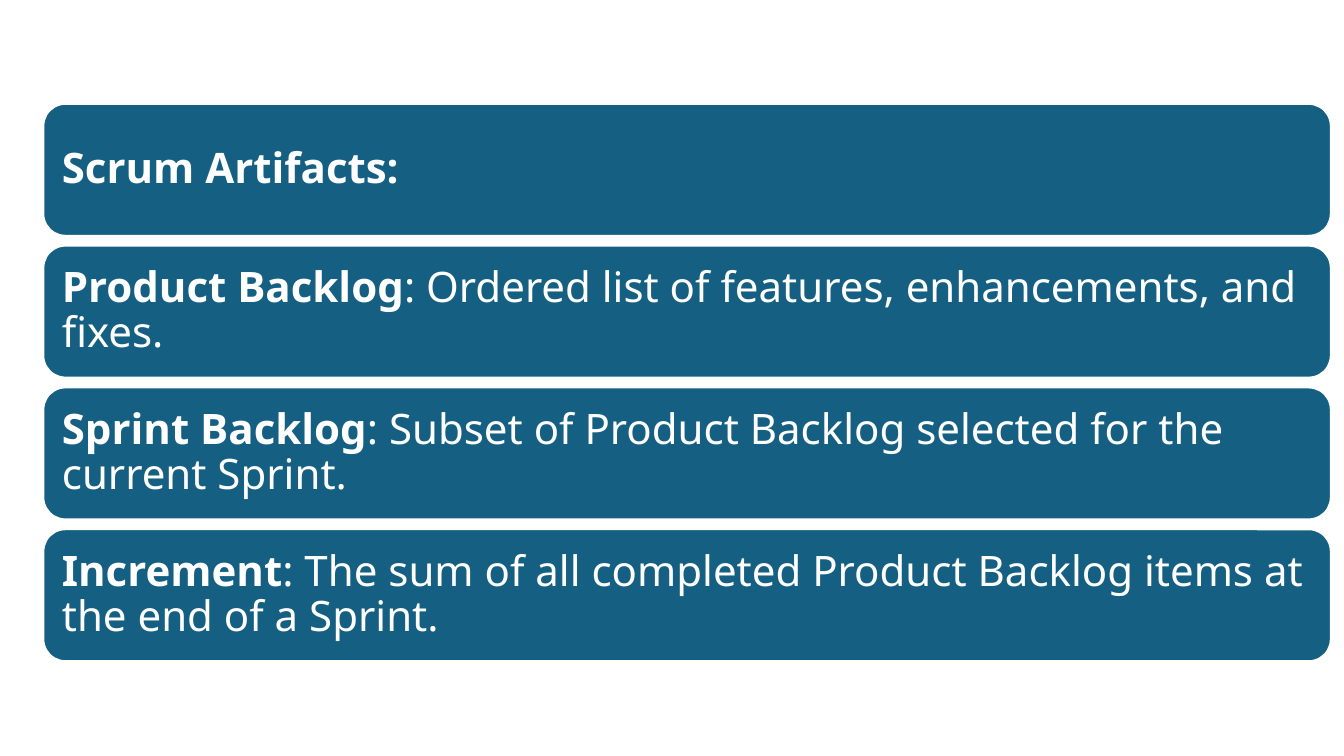
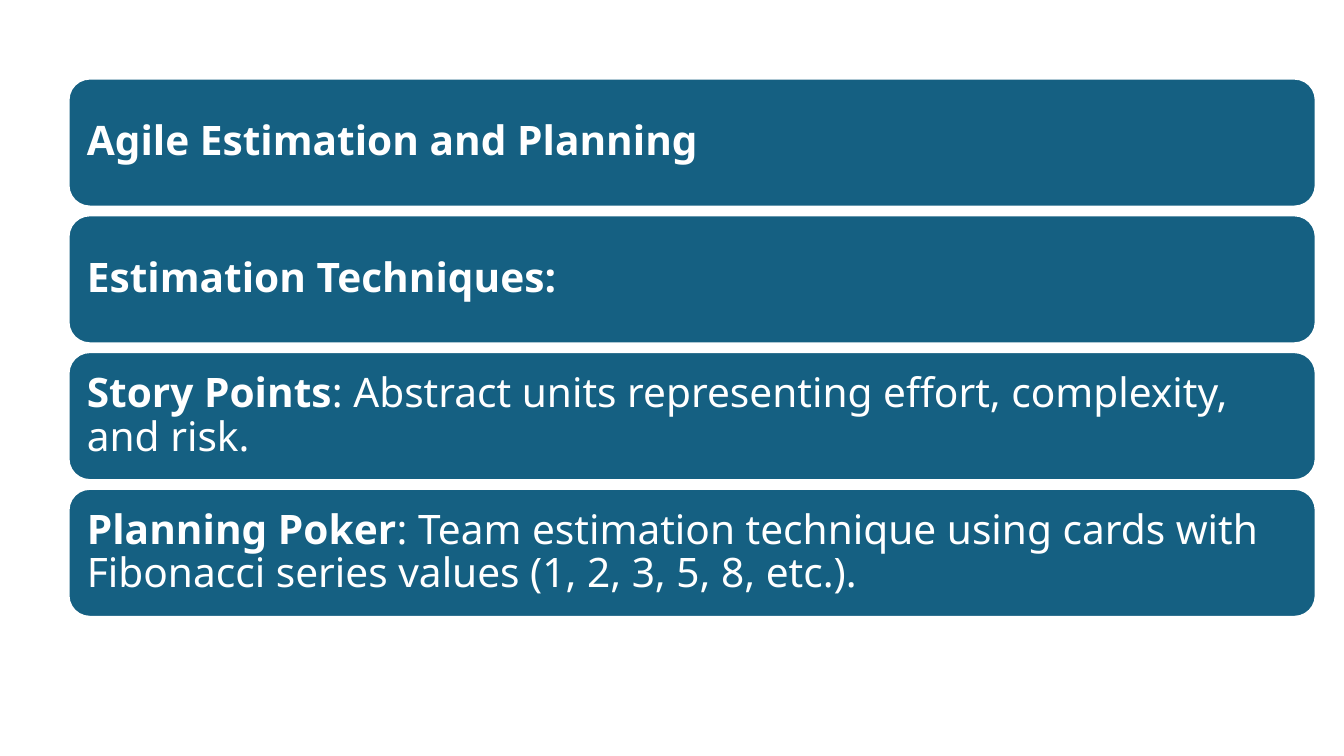
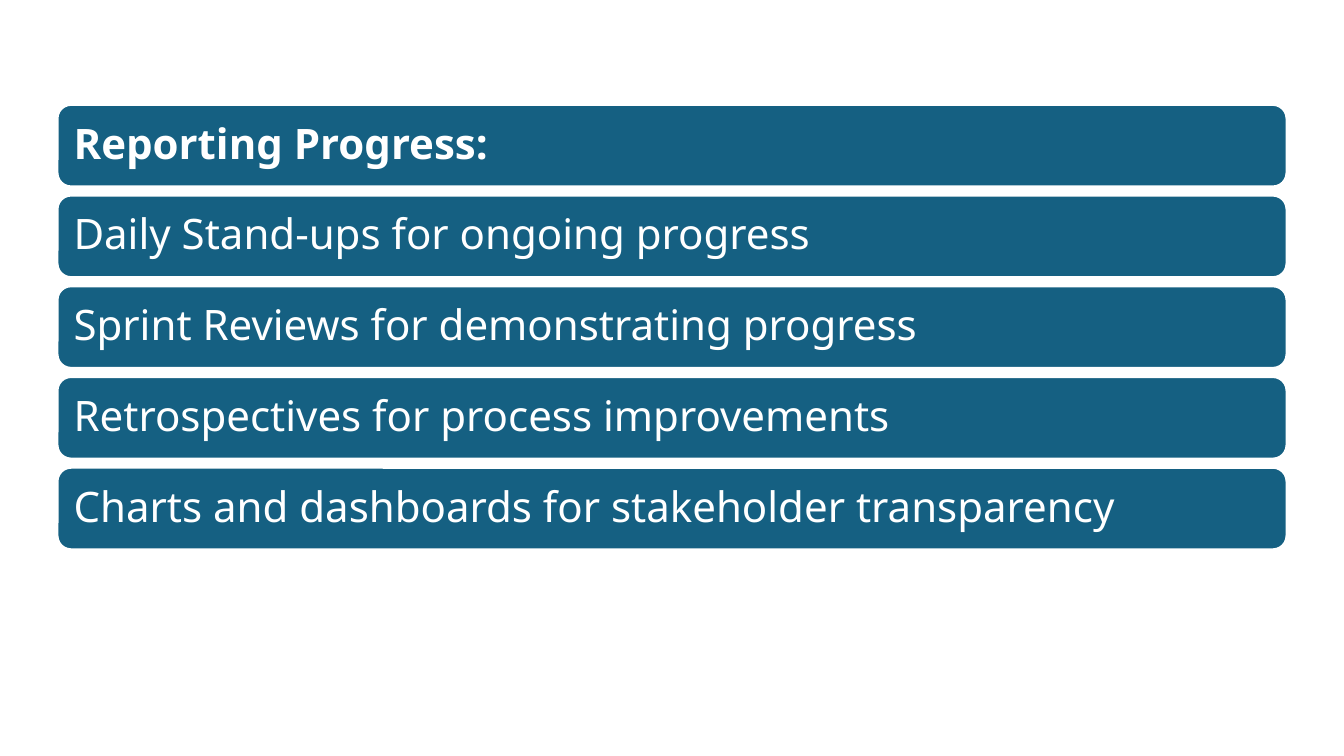
import pptx
import pptx.dml.color
import pptx.enum.shapes
import pptx.enum.text
import pptx.util

Inches = pptx.util.Inches
Pt = pptx.util.Pt

COLORS = {"bar": "156082", "outline": "FFFFFF", "text": "FFFFFF"}


class Deck:
    font_name = "Noto Sans"
    inset = Inches(0.12)

    def __init__(self):
        self.presentation = pptx.Presentation()
        self.presentation.slide_width = Inches(13.33)
        self.presentation.slide_height = Inches(7.5)
        self.slide = None

    def color(self, name):
        return pptx.dml.color.RGBColor.from_string(COLORS[name])

    def add_slide(self):
        self.slide = self.presentation.slides.add_slide(self.presentation.slide_layouts[6])

    def add_bar(self, left, top, width, height, size, lead, rest):
        shape = self.slide.shapes.add_shape(
            pptx.enum.shapes.MSO_SHAPE.ROUNDED_RECTANGLE,
            Inches(left), Inches(top), Inches(width), Inches(height),
        )
        shape.shadow.inherit = False
        shape.fill.solid()
        shape.fill.fore_color.rgb = self.color("bar")
        shape.line.color.rgb = self.color("outline")
        shape.line.width = Pt(1.5)
        self.set_label(shape.text_frame, size, lead, rest)

    def set_label(self, text_frame, size, lead, rest):
        text_frame.word_wrap = True
        text_frame.auto_size = pptx.enum.text.MSO_AUTO_SIZE.TEXT_TO_FIT_SHAPE
        text_frame.vertical_anchor = pptx.enum.text.MSO_ANCHOR.MIDDLE
        text_frame.margin_left = text_frame.margin_right = self.inset
        text_frame.margin_top = text_frame.margin_bottom = self.inset
        paragraph = text_frame.paragraphs[0]
        paragraph.alignment = pptx.enum.text.PP_ALIGN.LEFT
        paragraph.line_spacing = 0.9
        paragraph.space_after = Pt(0.35 * size)
        for text, bold in ((lead, True), (rest, False)):
            if text:
                run = paragraph.add_run()
                run.text = text
                run.font.name = self.font_name
                run.font.size = Pt(size)
                run.font.bold = bold
                run.font.color.rgb = self.color("text")

    def add_bar_stack(self, left, top, width, bottom, height, size, items):
        pitch = (bottom - height - top) / (len(items) - 1)
        for index, (lead, rest) in enumerate(items):
            self.add_bar(left, top + index * pitch, width, height, size, lead, rest)


def main():
    deck = Deck()

    deck.add_slide()
    deck.add_bar_stack(0.43, 1.03, 12.77, 6.56, 1.31, 30, [
        ("Scrum Artifacts:", ""),
        ("Product Backlog", ": Ordered list of features, enhancements, and fixes."),
        ("Sprint Backlog", ": Subset of Product Backlog selected for the current Sprint."),
        ("Increment", ": The sum of all completed Product Backlog items at the end of a Sprint."),
    ])

    deck.add_slide()
    deck.add_bar_stack(0.68, 0.78, 12.37, 6.12, 1.27, 29, [
        ("Agile Estimation and Planning", ""),
        ("Estimation Techniques:", ""),
        ("Story Points", ": Abstract units representing effort, complexity, and risk."),
        ("Planning Poker", ": Team estimation technique using cards with Fibonacci series values "
                           "(1, 2, 3, 5, 8, etc.)."),
    ])

    deck.add_slide()
    deck.add_bar_stack(0.57, 1.04, 12.19, 5.45, 0.81, 30, [
        ("Reporting Progress:", ""),
        ("", "Daily Stand-ups for ongoing progress"),
        ("", "Sprint Reviews for demonstrating progress"),
        ("", "Retrospectives for process improvements"),
        ("", "Charts and dashboards for stakeholder transparency"),
    ])

    deck.presentation.save("out.pptx")


if __name__ == "__main__":
    main()
